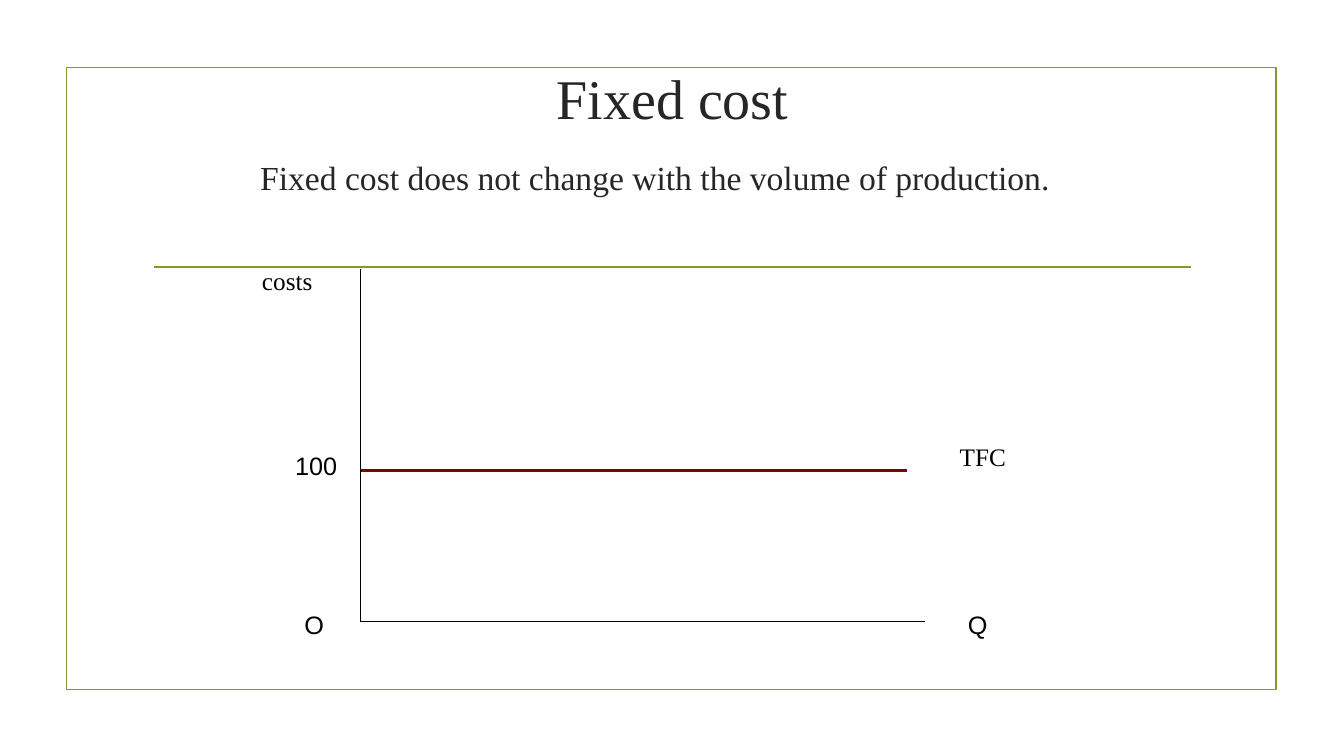
from dataclasses import dataclass

from lxml.etree import SubElement
from pptx import Presentation
from pptx.dml.color import RGBColor
from pptx.enum.shapes import MSO_CONNECTOR as Connector, MSO_SHAPE as Shape
from pptx.enum.text import MSO_ANCHOR as Anchor, MSO_AUTO_SIZE as AutoSize, PP_ALIGN as Align
from pptx.oxml.ns import qn
from pptx.util import Inches, Pt


@dataclass(frozen=True)
class Theme:
    serif: str = "Times New Roman"
    sans: str = "Arial"
    ink: str = "262626"
    black: str = "000000"
    green: str = "83992A"
    maroon: str = "800000"
    title_size: int = 40
    body_size: int = 24
    label_size: int = 18


def write_text(frame, text, *, font, size, color, align=Align.LEFT,
               anchor=Anchor.TOP, fit=AutoSize.NONE, indent=None):
    """Fill a text frame with one formatted paragraph."""
    frame.word_wrap = True
    frame.auto_size = fit
    frame.vertical_anchor = anchor
    paragraph = frame.paragraphs[0]
    paragraph.text = text
    paragraph.alignment = align
    paragraph.space_before = Pt(0)
    if indent is not None:
        properties = paragraph._p.get_or_add_pPr()
        properties.set("marL", str(Inches(indent)))
        properties.set("indent", "0")
        SubElement(properties, qn("a:buNone"))
    run_font = paragraph.runs[0].font
    run_font.name = font
    run_font.size = Pt(size)
    run_font.color.rgb = RGBColor.from_string(color)


class SlideBuilder:
    def __init__(self, slide, theme):
        self.slide = slide
        self.theme = theme

    def placeholder(self, index, box, text, **style):
        shape = self.slide.placeholders[index]
        shape.left, shape.top, shape.width, shape.height = map(Inches, box)
        write_text(shape.text_frame, text, font=self.theme.serif,
                   color=self.theme.ink, **style)

    def frame(self, box, color, width):
        shape = self.slide.shapes.add_shape(Shape.RECTANGLE, *map(Inches, box))
        shape.shadow.inherit = False
        shape.fill.background()
        shape.line.color.rgb = RGBColor.from_string(color)
        shape.line.width = Pt(width)

    def line(self, start, end, color, width):
        connector = self.slide.shapes.add_connector(
            Connector.STRAIGHT, *map(Inches, (*start, *end)))
        connector.line.color.rgb = RGBColor.from_string(color)
        connector.line.width = Pt(width)
        SubElement(connector._element.spPr, qn("a:effectLst"))

    def label(self, left, top, width, text, font):
        box = self.slide.shapes.add_textbox(*map(Inches, (left, top, width, 0.4)))
        write_text(box.text_frame, text, font=font, size=self.theme.label_size,
                   color=self.theme.black, fit=AutoSize.SHAPE_TO_FIT_TEXT)


def main():
    presentation = Presentation()
    presentation.slide_width = Inches(13.33)
    presentation.slide_height = Inches(7.5)
    theme = Theme()
    slide = presentation.slides.add_slide(presentation.slide_layouts[1])
    builder = SlideBuilder(slide, theme)

    # Border and divider
    builder.frame((0.66, 0.67, 12, 6.17), theme.green, 1.25)
    builder.line((1.53, 2.65), (11.81, 2.65), theme.green, 1.25)

    # Title and statement
    builder.placeholder(0, (2.17, 0.57, 9, 0.78), "Fixed cost", size=theme.title_size,
                        align=Align.CENTER, anchor=Anchor.MIDDLE)
    builder.placeholder(1, (2.17, 1.51, 9, 5.32),
                        "Fixed cost does not change with the volume of production.",
                        size=theme.body_size, align=Align.JUSTIFY, indent=0.31)

    # Axes and the fixed cost line
    axis_x, axis_y, cost_y = 3.58, 6.17, 4.67
    origin = (axis_x, axis_y)
    builder.line((axis_x, 2.67), origin, theme.black, 0.75)
    builder.line(origin, (9.17, axis_y), theme.black, 0.75)
    builder.line((axis_x, cost_y), (9, cost_y), theme.maroon, 2)

    # Diagram labels
    for left, top, width, text, font in (
        (9.42, 4.33, 0.92, "TFC", theme.serif),
        (9.5, 6, 0.75, "Q", theme.sans),
        (2.5, 2.58, 0.92, "costs", theme.serif),
        (2.83, 4.42, 0.83, "100", theme.sans),
        (2.92, 6, 0.42, "O", theme.sans),
    ):
        builder.label(left, top, width, text, font)

    presentation.save("out.pptx")


if __name__ == "__main__":
    main()
